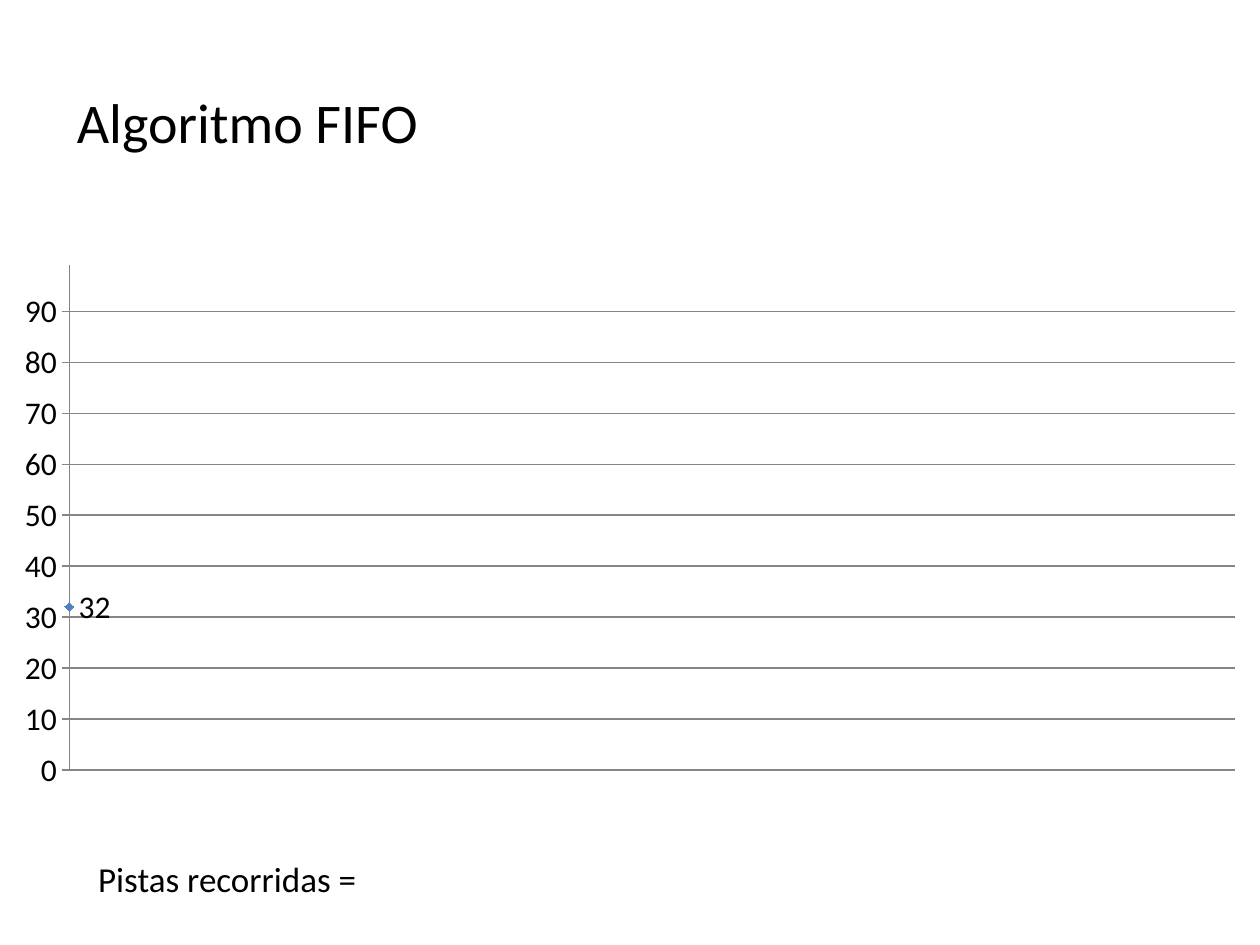
import pptx
import pptx.chart.data
import pptx.dml.color
import pptx.enum.chart
import pptx.enum.text
import pptx.oxml
import pptx.oxml.ns
import pptx.util

COLORS = {"text": "000000", "grid": "868686", "marker": "4F81BD"}
FONT_NAME = "Calibri"

presentation = pptx.Presentation()
presentation.slide_width = pptx.util.Inches(10)
presentation.slide_height = pptx.util.Inches(7.5)
TITLE_ONLY = 5
slide = presentation.slides.add_slide(presentation.slide_layouts[TITLE_ONLY])


def color(name):
    return pptx.dml.color.RGBColor.from_string(COLORS[name])


def write_line(shape, text, size):
    """Fill a shape with one left-aligned, vertically centred line."""
    frame = shape.text_frame
    frame.word_wrap = True
    frame.vertical_anchor = pptx.enum.text.MSO_ANCHOR.MIDDLE
    paragraph = frame.paragraphs[0]
    paragraph.text = text
    paragraph.alignment = pptx.enum.text.PP_ALIGN.LEFT
    font = paragraph.runs[0].font
    for name, value in {"name": FONT_NAME, "size": pptx.util.Pt(size)}.items():
        setattr(font, name, value)
    font.color.rgb = color("text")


# Chart of the tracks visited
chart_data = pptx.chart.data.XyChartData()
chart_data.add_series("Series 1").add_data_point(0, 32)
chart = slide.shapes.add_chart(
    pptx.enum.chart.XL_CHART_TYPE.XY_SCATTER_LINES,
    0, pptx.util.Inches(2.02), presentation.slide_width, pptx.util.Inches(4.33),
    chart_data,
).chart
chart.has_legend = False
chart.has_title = False
chart.font.name = FONT_NAME
chart.font.size = pptx.util.Pt(18)
chart.font.color.rgb = color("text")

tick_mark = pptx.enum.chart.XL_TICK_MARK
label_position = pptx.enum.chart.XL_TICK_LABEL_POSITION
axis_formats = [
    (chart.category_axis, {
        "minimum_scale": 0, "maximum_scale": 160, "has_major_gridlines": False,
        "major_tick_mark": tick_mark.NONE, "minor_tick_mark": tick_mark.NONE,
        "tick_label_position": label_position.NONE,
    }),
    (chart.value_axis, {
        "minimum_scale": 0, "maximum_scale": 99, "major_unit": 10,
        "has_major_gridlines": True, "major_tick_mark": tick_mark.OUTSIDE,
        "minor_tick_mark": tick_mark.NONE,
        "tick_label_position": label_position.NEXT_TO_AXIS,
    }),
]
for axis, values in axis_formats:
    for name, value in values.items():
        setattr(axis, name, value)
    axis.format.line.color.rgb = color("grid")
    axis.format.line.width = pptx.util.Pt(0.75)
gridline = chart.value_axis.major_gridlines.format.line
gridline.color.rgb = color("grid")
gridline.width = pptx.util.Pt(0.75)

plot = chart.plots[0]
plot.vary_by_categories = False
series = plot.series[0]
series.format.line.color.rgb = color("marker")
marker = series.marker
marker.style = pptx.enum.chart.XL_MARKER_STYLE.DIAMOND
marker.size = 5
marker.format.fill.solid()
marker.format.fill.fore_color.rgb = color("marker")
marker.format.line.color.rgb = color("marker")
# A point's label shows its value by default
start_label = series.points[0].data_label
start_label.position = pptx.enum.chart.XL_LABEL_POSITION.RIGHT

# Inner plot area, as shares of the chart frame
plot_area = chart.element.find(".//" + pptx.oxml.ns.qn("c:plotArea"))
old_layout = plot_area.find(pptx.oxml.ns.qn("c:layout"))
if old_layout is not None:
    plot_area.remove(old_layout)
shares = {"x": 0.055, "y": 0.02, "w": 0.925, "h": 0.925}
modes = '<c:layoutTarget val="inner"/><c:xMode val="edge"/><c:yMode val="edge"/>'
sizes = "".join(f'<c:{key} val="{share}"/>' for key, share in shares.items())
plot_area.insert(0, pptx.oxml.parse_xml(
    f'<c:layout {pptx.oxml.ns.nsdecls("c")}><c:manualLayout>'
    f"{modes}{sizes}</c:manualLayout></c:layout>"
))

# Title and result line
title = slide.shapes.title
title_place = {"left": 0.51, "top": 0.29, "width": 9, "height": 1.34}
for name, value in title_place.items():
    setattr(title, name, pptx.util.Inches(value))
write_line(title, "Algoritmo FIFO", 32)

result_place = (pptx.util.Inches(value) for value in (0.68, 6.58, 8.42, 0.79))
result = slide.shapes.add_textbox(*result_place)
write_line(result, "Pistas recorridas =", 20)

presentation.save("out.pptx")
